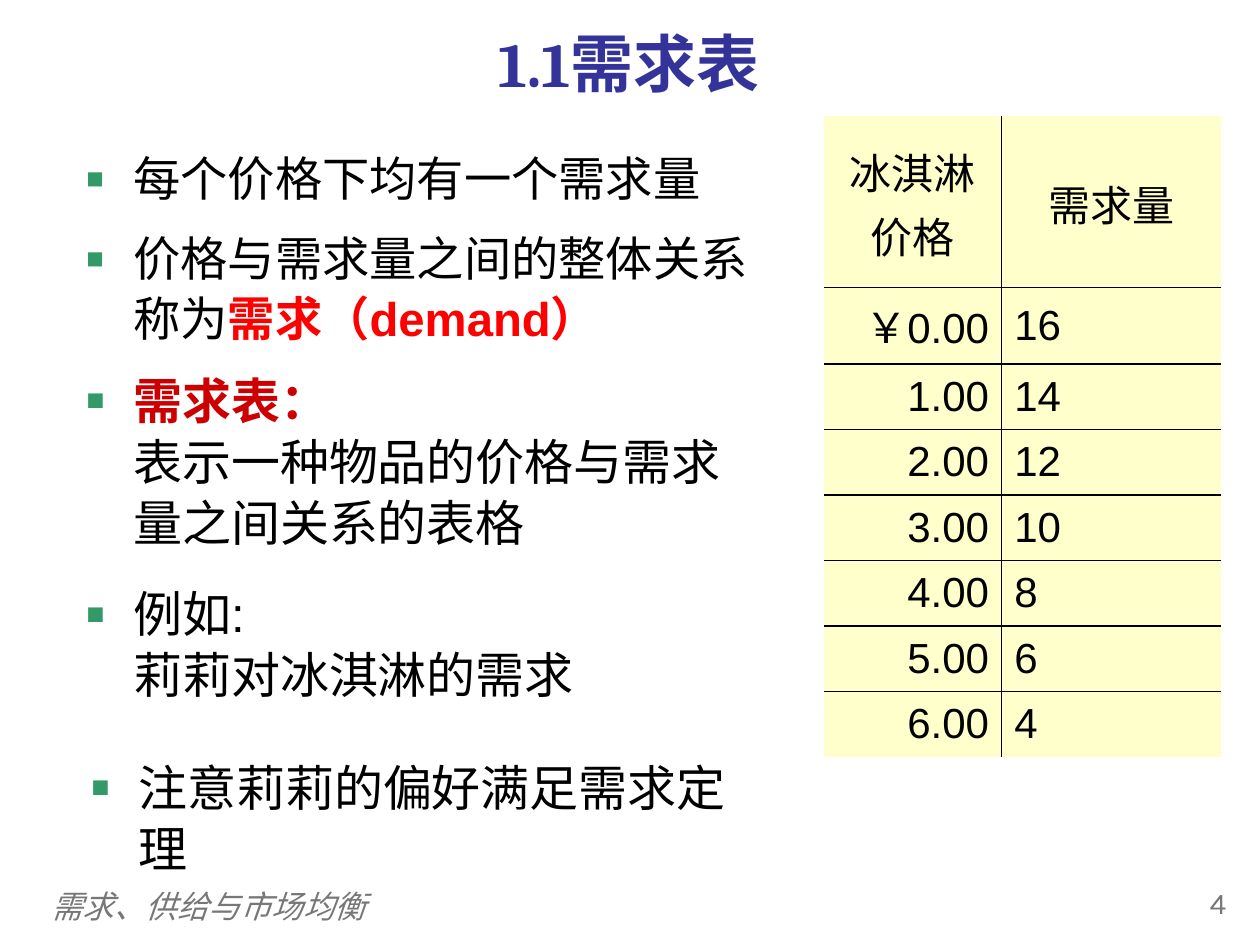
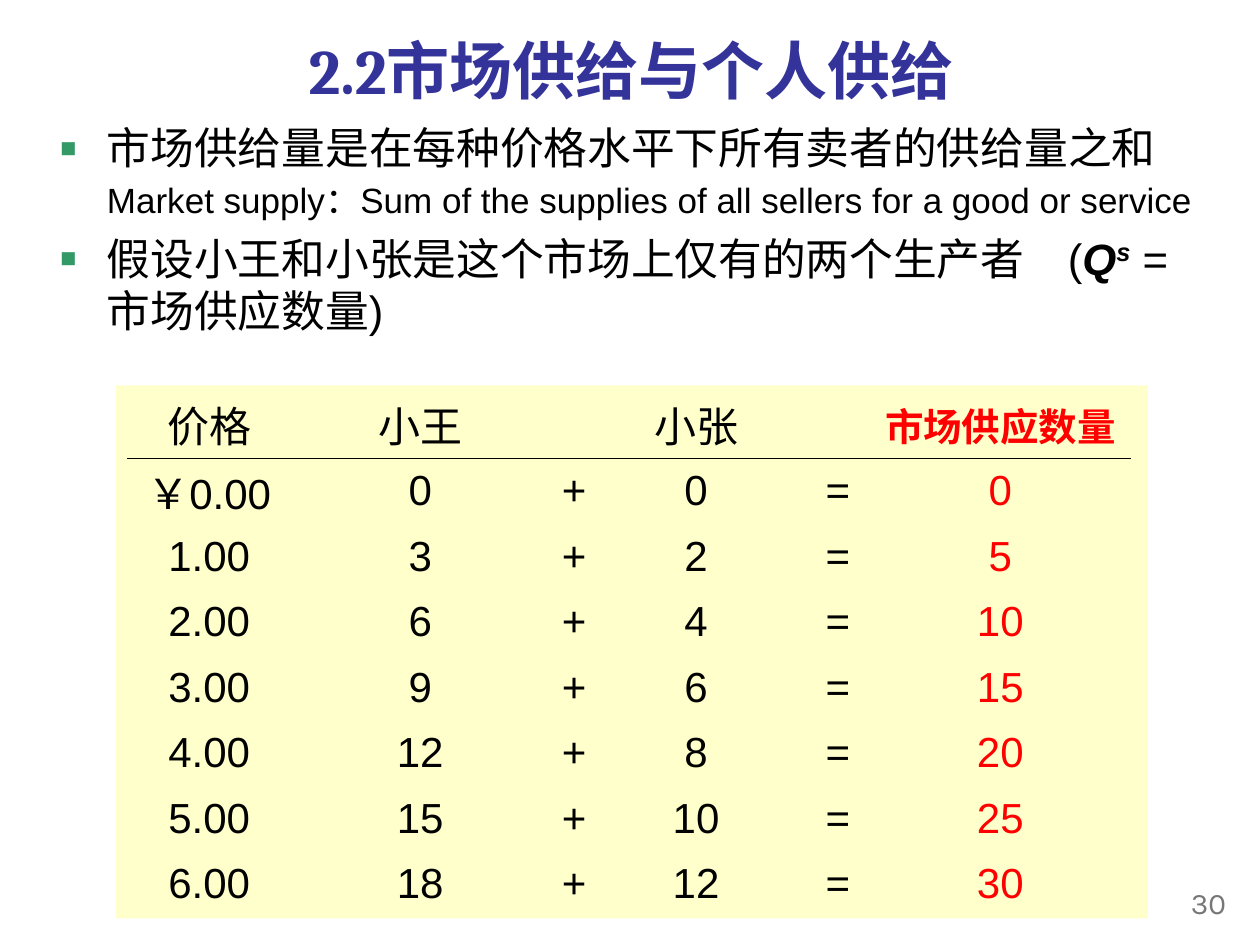
from dataclasses import dataclass, field
from typing import Any, Optional

from lxml import etree
from pptx import Presentation, util as u
from pptx.dml import color as dml
from pptx.enum import shapes, text
from pptx.oxml import ns

COLORS = {
    "title": "333399",
    "body": "000000",
    "bullet": "339966",
    "term": "CC0000",
    "accent": "FF0000",
    "panel": "FFFFCC",
    "footer": "777777",
}
ALIGN = text.PP_ALIGN
NO_GRID_STYLE = "{2D5ABB26-0587-4C30-8999-92F81FD0307C}"
PRICES = ["￥0.00", "1.00", "2.00", "3.00", "4.00", "5.00", "6.00"]

BODY = {"name": "Arial", "color": "body"}
TITLE = {"name": "Cambria", "size": u.Pt(36), "bold": True, "color": "title"}
FOOTER = {"name": "Arial", "size": u.Pt(18), "italic": True, "color": "footer"}
PAGE_NUMBER = {"name": "Karla", "size": u.Pt(17), "color": "footer"}


@dataclass
class Box:
    left: float
    top: float
    width: float
    height: float

    def lengths(self) -> list[u.Length]:
        return [u.Inches(v) for v in (self.left, self.top, self.width, self.height)]


@dataclass
class Run:
    text: str
    fmt: dict[str, Any] = field(default_factory=dict)


@dataclass
class Para:
    runs: list[Run]
    size: float = 28
    line: Optional[float] = None
    before: float = 0
    align: Any = None
    bullet: bool = False
    fmt: dict[str, Any] = field(default_factory=dict)


@dataclass
class Column:
    """A table column: its heading, values and look."""
    width: float
    head: str
    values: list[str]
    align: Any = ALIGN.CENTER
    inset_left: float = 0
    inset_right: float = 0
    color: str = "body"
    head_fmt: dict[str, Any] = field(default_factory=dict)


def rgb(name: str) -> dml.RGBColor:
    return dml.RGBColor.from_string(COLORS[name])


def sub(parent: Any, tag: str, **attrs: str) -> Any:
    return etree.SubElement(parent, ns.qn(tag), attrs)


def apply_format(r: Any, fmt: dict[str, Any]) -> None:
    for key, value in fmt.items():
        if key == "color":
            r.font.color.rgb = rgb(value)
        elif key == "baseline":
            r._r.get_or_add_rPr().set("baseline", str(value))
        else:
            setattr(r.font, key, value)


def add_bullet(p: Any) -> None:
    pPr = p._p.get_or_add_pPr()
    pPr.set("marL", str(u.Inches(0.38)))
    pPr.set("indent", str(-u.Inches(0.38)))
    sub(sub(pPr, "a:buClr"), "a:srgbClr", val=COLORS["bullet"])
    sub(pPr, "a:buSzPct", val="120000")
    sub(pPr, "a:buFont", typeface="Arial")
    sub(pPr, "a:buChar", char="▪")


def fill_text(tf: Any, paras: list[Para]) -> None:
    for i, para in enumerate(paras):
        p = tf.add_paragraph() if i else tf.paragraphs[0]
        if para.bullet:
            add_bullet(p)
        p.alignment = para.align
        if para.line:
            p.line_spacing = u.Pt(para.line)
        if para.before:
            p.space_before = u.Pt(para.before)
        for run in para.runs:
            for j, part in enumerate(run.text.split("\n")):
                if j:
                    p.add_line_break()
                if part:
                    r = p.add_run()
                    r.text = part
                    apply_format(r, BODY | {"size": u.Pt(para.size)} | para.fmt | run.fmt)


def add_text(s: Any, box: Box, paras: list[Para], middle: bool = False) -> None:
    tf = s.shapes.add_textbox(*box.lengths()).text_frame
    tf.word_wrap = True
    tf.vertical_anchor = text.MSO_ANCHOR.MIDDLE if middle else text.MSO_ANCHOR.TOP
    fill_text(tf, paras)


def add_slide(prs: Any, title: str, title_box: Box, number: int) -> Any:
    """Add a blank slide with the shared title and page number."""
    s = prs.slides.add_slide(prs.slide_layouts[6])
    add_text(s, title_box, [Para([Run(title, TITLE)], align=ALIGN.CENTER)], middle=True)
    add_text(s, Box(9.08, 6.97, 0.75, 0.4),
             [Para([Run(str(number), PAGE_NUMBER)], align=ALIGN.RIGHT)])
    return s


def add_border(cell: Any, side: str) -> None:
    ln = etree.Element(ns.qn(f"a:ln{side}"), w=str(u.Pt(1)))
    sub(sub(ln, "a:solidFill"), "a:srgbClr", val=COLORS["body"])
    tcPr = cell._tc.get_or_add_tcPr()
    tcPr.insert(len(tcPr.findall("*")) - 1, ln)


def add_data_table(s: Any, left: float, top: float, columns: list[Column],
                   heights: list[float], margin_y: float = 0,
                   head_line: Optional[float] = None, grid: bool = False) -> None:
    """Draw a table; grid adds a panel fill and inner rules."""
    box = Box(left, top, sum(c.width for c in columns), sum(heights))
    frame = s.shapes.add_table(len(heights), len(columns), *box.lengths())
    table = frame.table
    table.first_row = table.horz_banding = False
    next(frame._element.iter(ns.qn("a:tableStyleId"))).text = NO_GRID_STYLE
    for row, height in zip(table.rows, heights):
        row.height = u.Inches(height)
    last_row, last_col = len(heights) - 1, len(columns) - 1
    for x, col in enumerate(columns):
        table.columns[x].width = u.Inches(col.width)
        for y, value in enumerate([col.head, *col.values]):
            cell = table.cell(y, x)
            cell.vertical_anchor = text.MSO_ANCHOR.MIDDLE
            cell.margin_left = u.Inches(col.inset_left)
            cell.margin_right = u.Inches(col.inset_right)
            cell.margin_top = cell.margin_bottom = u.Inches(margin_y)
            fmt = {"color": col.color} | ({} if y else col.head_fmt)
            fill_text(cell.text_frame, [Para(
                [Run(value, fmt)], size=24, line=None if y else head_line,
                align=col.align if y else ALIGN.CENTER)])
            if not grid:
                cell.fill.background()
                continue
            cell.fill.solid()
            cell.fill.fore_color.rgb = rgb("panel")
            inner = {"L": x > 0, "R": x < last_col, "T": y > 0, "B": y < last_row}
            for side, shown in inner.items():
                if shown:
                    add_border(cell, side)


def add_panel(s: Any, box: Box) -> None:
    sp = s.shapes.add_shape(shapes.MSO_SHAPE.RECTANGLE, *box.lengths())
    sp.shadow.inherit = False
    sp.fill.solid()
    sp.fill.fore_color.rgb = rgb("panel")
    sp.line.fill.background()


def add_rule(s: Any, left: float, right: float, y: float) -> None:
    line = s.shapes.add_connector(shapes.MSO_CONNECTOR.STRAIGHT, u.Inches(left),
                                  u.Inches(y), u.Inches(right), u.Inches(y))
    line.line.color.rgb = rgb("body")
    line.line.width = u.Pt(1)
    sub(line._element.spPr, "a:effectLst")


def demand_slide(prs: Any) -> None:
    s = add_slide(prs, "1.1需求表", Box(0.24, 0, 9.5, 0.99), 4)
    add_text(s, Box(0.31, 6.99, 8.02, 0.4), [Para([Run("需求、供给与市场均衡", FOOTER)])],
             middle=True)
    add_text(s, Box(0.58, 1.11, 5.58, 3.86), [
        Para([Run("每个价格下均有一个需求量")], size=27, line=34.3, bullet=True),
        Para([Run("价格与需求量之间的整体关系称为"),
              Run("需求（demand）", {"color": "accent", "bold": True})],
             size=27, line=34.3, before=11.4, bullet=True),
        Para([Run("需求表：\n", {"color": "term", "bold": True}),
              Run("表示一种物品的价格与需求量之间关系的表格")],
             line=35, before=12.4, bullet=True),
        Para([Run("例如:\n莉莉对冰淇淋的需求")], line=35, before=17, bullet=True),
    ])
    add_text(s, Box(0.62, 5.94, 5.29, 0.9),
             [Para([Run("注意莉莉的偏好满足需求定理")], line=35, bullet=True)])
    quantities = [str(16 - 2 * i) for i in range(len(PRICES))]
    add_data_table(s, 6.54, 0.92, [
        Column(1.41, "冰淇淋价格", PRICES, ALIGN.RIGHT, 0.1, 0.1),
        Column(1.74, "需求量", quantities, ALIGN.LEFT, 0.1, 0.1),
    ], [1.36, 0.61] + [0.52] * 6, margin_y=0.05, head_line=36.6, grid=True)


def supply_slide(prs: Any) -> None:
    s = add_slide(prs, "2.2市场供给与个人供给", Box(0.09, 0.23, 9.84, 0.64), 30)
    add_panel(s, Box(0.92, 3.06, 8.19, 4.23))
    add_rule(s, 1.01, 8.98, 3.64)
    symbol = {"bold": True, "italic": True}
    add_text(s, Box(0.37, 0.95, 9.32, 1.38), [
        Para([Run("市场供给量是在每种价格水平下所有卖者的供给量之和"),
              Run("Market supply：Sum of the supplies of all sellers for a good or service",
                  {"size": u.Pt(20)})],
             size=25, line=27, bullet=True),
        Para([Run("假设小王和小张是这个市场上仅有的两个生产者　("), Run("Q", symbol),
              Run("s", symbol | {"baseline": 30000}), Run(" = 市场供应数量)")],
             size=25, line=29.7, before=6.5, bullet=True),
    ])
    steps = range(len(PRICES))
    wang, zhang, market = ([str(rate * i) for i in steps] for rate in (3, 2, 5))
    add_data_table(s, 1.01, 3.1, [
        Column(1.3, "价格", PRICES),
        Column(2.05, "小王", wang),
        Column(0.29, "", ["+"] * len(PRICES), inset_left=0.1),
        Column(1.75, "小张", zhang),
        Column(0.5, "", ["="] * len(PRICES)),
        Column(2.08, "市场供应数量", market, color="accent",
               head_fmt={"bold": True, "size": u.Pt(22)}),
    ], [0.54] + [0.52] * 7)


def main() -> None:
    prs = Presentation()
    prs.slide_width, prs.slide_height = u.Inches(10), u.Inches(7.5)
    demand_slide(prs)
    supply_slide(prs)
    prs.save("out.pptx")


if __name__ == "__main__":
    main()
